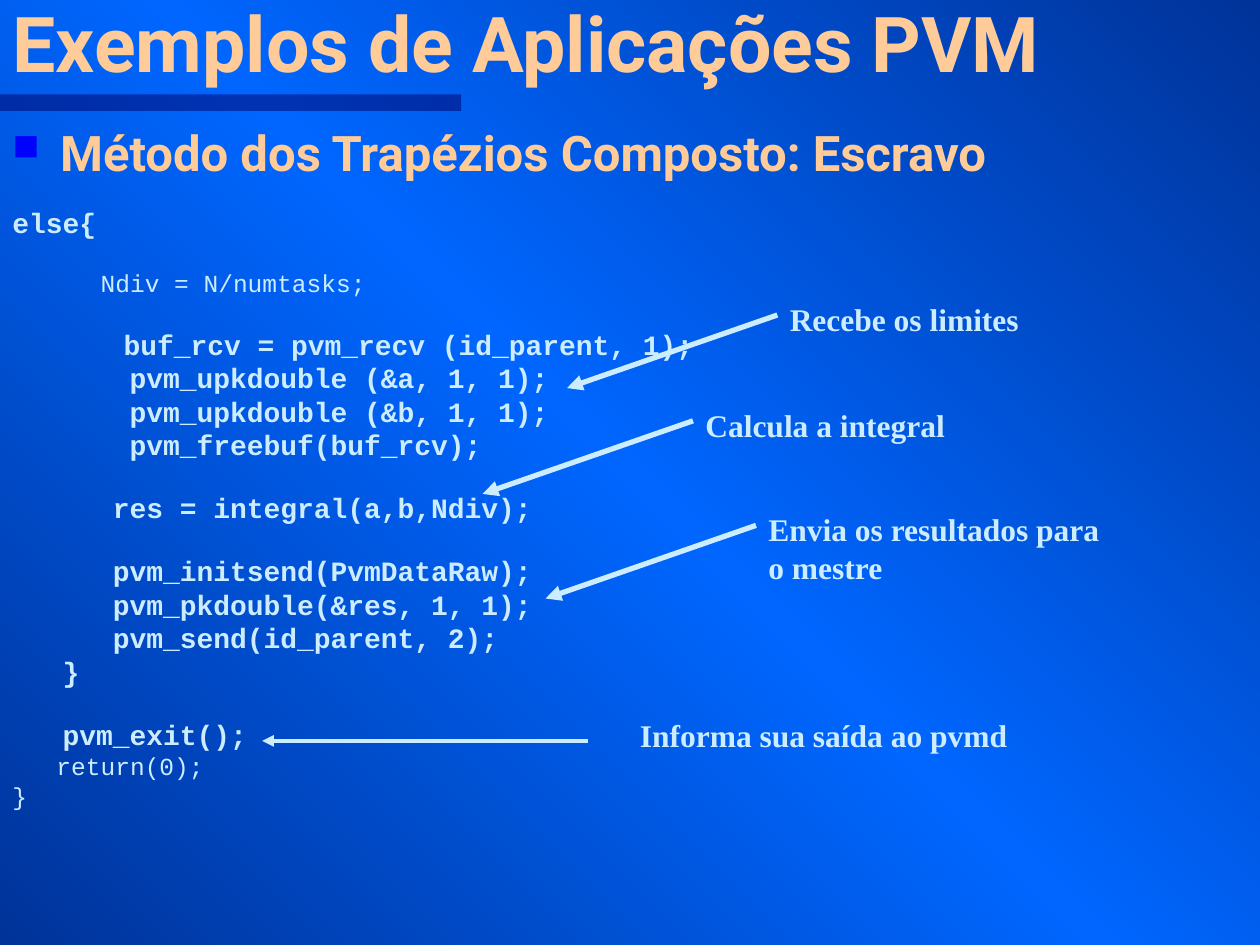
"""Build the slide on the slave side of the PVM trapezoid example."""
import copy
import pptx
import pptx.util
import pptx.dml.color
import pptx.enum.shapes
import pptx.enum.text
import pptx.oxml.ns
from lxml import etree
from pptx.util import Inches, Pt

PEACH, PALE, NAVY, BLUE = "FFCC99", "CCECFF", "000066", "0000FF"
STOPS = [(0, "003399"), (0.5, "0066FF"), (1, "003399")]
MONO, SERIF, SANS = "Courier New", "Times New Roman", "Roboto"
SMALL, LARGE, GAP = 14, 16, 16.8

TITLE = "Exemplos de Aplicações PVM"
TOPIC = "Método dos Trapézios Composto: Escravo"
NOTES = [
    ("Recebe os limites", 6.17, 2.33, 0.4),
    ("Calcula a integral", 5.5, 3.17, 0.4),
    ("Envia os resultados para o mestre", 6, 4, 0.7),
]
LAST = "Informa sua saída ao pvmd"
CODE = [
    [[("else{", LARGE)]],
    [[("      Ndiv = N/numtasks;", SMALL)]],
    [
        [("   ", SMALL), ("    buf_rcv = pvm_recv (id_parent, 1);", LARGE)],
        [("       pvm_upkdouble (&a, 1, 1);", LARGE)],
        [("       pvm_upkdouble (&b, 1, 1);", LARGE)],
        [("       pvm_freebuf(buf_rcv);", LARGE)],
    ],
    [[("      res = integral(a,b,Ndiv);", LARGE)]],
    [
        [("      pvm_initsend(PvmDataRaw);", LARGE)],
        [("      pvm_pkdouble(&res, 1, 1);", LARGE)],
        [("      pvm_send(id_parent, 2);", LARGE)],
        [("   }", LARGE)],
    ],
    [
        [("   pvm_exit();", LARGE)],
        [("   return(0);", SMALL)],
        [("}", SMALL)],
    ],
]


def rgb(code):
    """Turn a hex string into a colour."""
    return pptx.dml.color.RGBColor.from_string(code)


def sub(node, tag, **attrs):
    """Append a DrawingML element."""
    return etree.SubElement(node, pptx.oxml.ns.qn("a:" + tag), attrs)


def frame(slide, x, y, w, h):
    """Add a wrapping text box and return its text frame."""
    box = slide.shapes.add_textbox(Inches(x), Inches(y), Inches(w), Inches(h))
    box.text_frame.word_wrap = True
    return box.text_frame


def write(para, text, size, face, color, bold=True):
    """Add one run to a paragraph."""
    run = para.add_run()
    run.text = text
    font = run.font
    font.size, font.name, font.bold = Pt(size), face, bold
    font.color.rgb = rgb(color)


def arrow(slide, tip, end, width):
    """Draw a line with its arrowhead at the tip."""
    kind = pptx.enum.shapes.MSO_CONNECTOR.STRAIGHT
    line = slide.shapes.add_connector(kind, *map(Inches, tip + end))
    line.line.color.rgb = rgb(PALE)
    line.line.width = Pt(width)
    sub(line.line._get_or_add_ln(), "headEnd", type="triangle")
    sub(line._element.spPr, "effectLst")


def paint(slide):
    """Fill the background with the diagonal gradient."""
    fill = slide.background.fill
    fill.gradient()
    fill.gradient_angle = 225
    first = fill._fill._gradFill.gsLst[0]
    first.addnext(copy.deepcopy(first))
    for stop, (place, color) in zip(fill.gradient_stops, STOPS):
        stop.position = place
        stop.color.rgb = rgb(color)


def head(slide):
    """Add the bar, the title and the topic."""
    kind = pptx.enum.shapes.MSO_SHAPE.RECTANGLE
    bar = slide.shapes.add_shape(kind, 0, Inches(0.75), Inches(3.66), Inches(0.13))
    bar.shadow.inherit = False
    bar.fill.solid()
    bar.fill.fore_color.rgb = rgb(NAVY)
    bar.line.fill.background()
    tint = bar._element.spPr.find(".//" + pptx.oxml.ns.qn("a:srgbClr"))
    sub(tint, "alpha", val="50000")

    title = frame(slide, 0, -0.5, 10.25, 1.25)
    title.vertical_anchor = pptx.enum.text.MSO_ANCHOR.BOTTOM
    write(title.paragraphs[0], TITLE, 44, SANS, PEACH)

    para = frame(slide, 0, 0.92, 10, 0.6).paragraphs[0]
    props = para._p.get_or_add_pPr()
    props.set("marL", str(Inches(0.38)))
    props.set("indent", str(Inches(-0.38)))
    sub(sub(props, "buClr"), "srgbClr", val=BLUE)
    sub(props, "buSzPct", val="75000")
    sub(props, "buChar", char="■")
    write(para, TOPIC, 28, SANS, PEACH)


def notes(slide):
    """Add the labels and the arrows to the code."""
    for text, x, y, h in NOTES:
        arrow(slide, (x - 1.67, y + 0.75), (x, y + 0.17), 3)
        write(frame(slide, x, y, 3, h).paragraphs[0], text, 18, SERIF, PALE)
    write(frame(slide, 4.98, 5.63, 4.02, 0.4).paragraphs[0], LAST, 18, SERIF, PALE)
    arrow(slide, (2.08, 5.88), (4.67, 5.88), 2.25)


def code(slide):
    """Write the listing, with a gap before each later block."""
    body = frame(slide, 0, 1.58, 10, 5.26)
    para = body.paragraphs[0]
    for b, block in enumerate(CODE):
        for n, row in enumerate(block):
            if b or n:
                para = body.add_paragraph()
            if b and not n:
                para.space_before = Pt(GAP)
            for text, size in row:
                write(para, text, size, MONO, PALE, size == LARGE)


def main():
    """Build and save the slide."""
    deck = pptx.Presentation()
    deck.slide_width, deck.slide_height = Inches(10), Inches(7.5)
    slide = deck.slides.add_slide(deck.slide_layouts[6])
    for step in (paint, head, notes, code):
        step(slide)
    deck.save("out.pptx")


if __name__ == "__main__":
    main()
